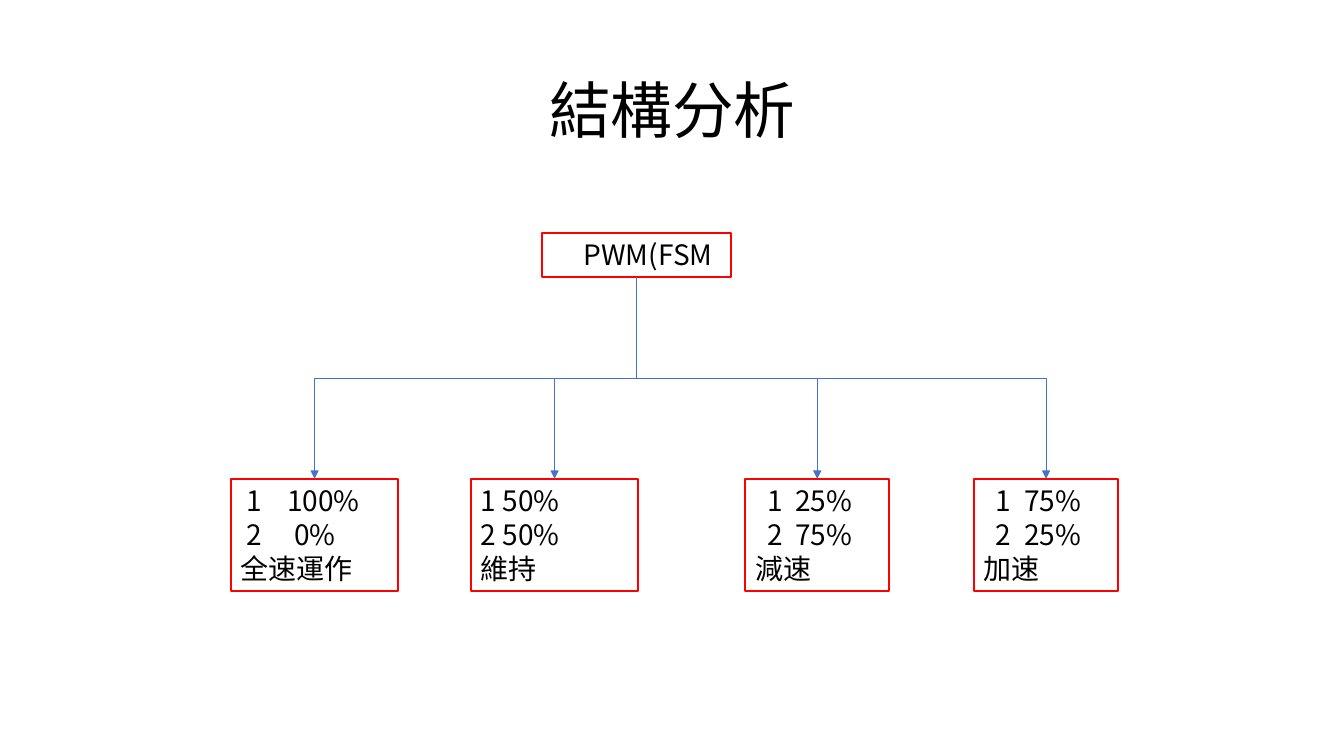
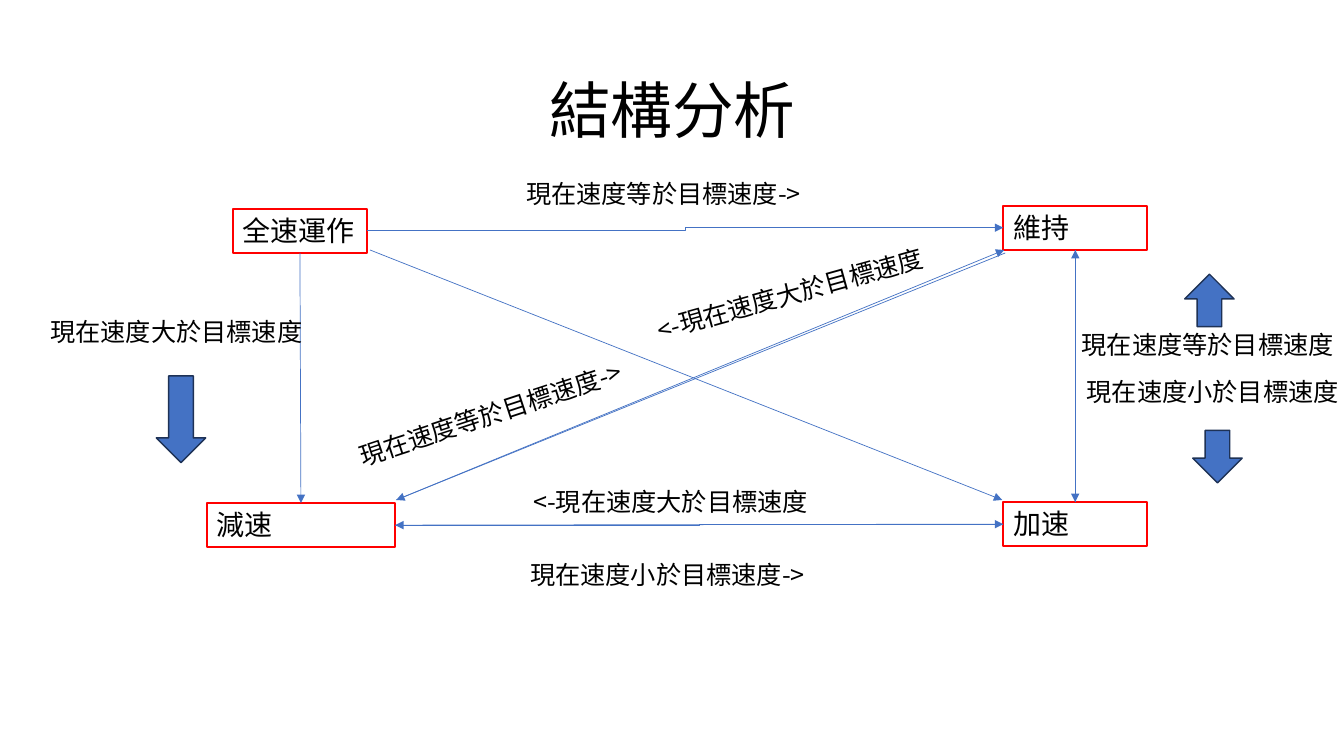
from dataclasses import dataclass

from lxml.etree import SubElement
from pptx import Presentation
from pptx.dml.color import RGBColor
from pptx.enum.shapes import MSO_CONNECTOR, MSO_SHAPE
from pptx.enum.text import MSO_ANCHOR, PP_ALIGN
from pptx.oxml.ns import qn
from pptx.util import Inches, Pt


@dataclass(frozen=True)
class Theme:
    font: str = "Noto Sans CJK SC"
    text: RGBColor = RGBColor(0x00, 0x00, 0x00)
    box_line: RGBColor = RGBColor(0xFF, 0x00, 0x00)
    accent: RGBColor = RGBColor(0x44, 0x72, 0xC4)
    accent_dark: RGBColor = RGBColor(0x1E, 0x32, 0x56)
    title_size: int = 44
    box_size: int = 20
    label_size: int = 18


THEME = Theme()
TITLE = "結構分析"
TOP, LEFT, BOTTOM, RIGHT = range(4)
LABEL_WIDTH, LABEL_HEIGHT = 3.1, 0.4
ARROW_WIDTH = 0.49

# Each line of a box is (text, tab stops in inches).
ROOT = ((5.38, 2.31, 1.87, 0.44), [("\tPWM(FSM", [0.31])])
MODE_TOP, MODE_HEIGHT = 4.75, 1.11
MODES = [  # left, width, lines
    (2.29, 1.66, [("\t1\t100%", [0.06, 0.46]), ("\t2\t0%", [0.06, 0.53]), ("全速運作", [])]),
    (4.67, 1.66, [("1 50%", []), ("2 50%", []), ("維持", [])]),
    (7.39, 1.43, [("\t1\t25%", [0.12, 0.4]), ("\t2\t75%", [0.12, 0.4]), ("減速", [])]),
    (9.66, 1.43, [("\t1\t75%", [0.12, 0.4]), ("\t2\t25%", [0.12, 0.4]), ("加速", [])]),
]

STATES = {
    "減速": (2.05, 4.99, 1.87, 0.44),
    "全速運作": (2.31, 2.07, 1.33, 0.44),
    "維持": (9.95, 2.04, 1.43, 0.44),
    "加速": (9.95, 4.98, 1.43, 0.44),
}
TRANSITIONS = [  # from, side, to, side, bent
    ("全速運作", BOTTOM, "減速", TOP, False),
    ("加速", LEFT, "減速", RIGHT, True),
    ("維持", BOTTOM, "加速", TOP, True),
    ("全速運作", RIGHT, "維持", LEFT, True),
    ("減速", RIGHT, "加速", LEFT, False),
    ("加速", TOP, "維持", BOTTOM, False),
]
DIAGONALS = [
    ((3.67, 2.48), (9.94, 4.96)),
    ((3.93, 4.96), (9.96, 2.48)),
    ((9.97, 2.51), (3.93, 4.96)),
]
LABELS = [  # text, left, top, rotation
    ("現在速度等於目標速度->", 5.12, 1.72, 0),
    ("現在速度小於目標速度->", 5.16, 5.5, 0),
    ("<-現在速度大於目標速度", 5.19, 4.78, 0),
    ("現在速度大於目標速度", 0.4, 3.09, 0),
    ("現在速度小於目標速度", 10.68, 3.68, 0),
    ("現在速度等於目標速度->", 3.4, 3.88, 341.8),
    ("現在速度等於目標速度", 10.63, 3.22, 0),
    ("<-現在速度大於目標速度", 6.37, 2.69, 344.5),
]
BLOCK_ARROWS = [  # left, top, height, rotation
    (1.55, 3.73, 0.86, 0),
    (11.83, 4.27, 0.52, 0),
    (11.75, 2.72, 0.52, 180),
]


def inches(*lengths):
    return [Inches(length) for length in lengths]


def write_paragraph(paragraph, text, size, tab_stops=(), **paragraph_format):
    for name, value in {"alignment": PP_ALIGN.LEFT, **paragraph_format}.items():
        setattr(paragraph, name, value)
    if tab_stops:
        tab_list = SubElement(paragraph._p.get_or_add_pPr(), qn("a:tabLst"))
        for stop in tab_stops:
            SubElement(tab_list, qn("a:tab"), pos=str(Inches(stop)), algn="l")
    run = paragraph.add_run()
    run.text = text
    for name, value in {"name": THEME.font, "size": Pt(size)}.items():
        setattr(run.font, name, value)
    run.font.color.rgb = THEME.text
    SubElement(run._r.get_or_add_rPr(), qn("a:ea"), typeface=THEME.font)


def add_text(slide, text, bounds, size, rotation=0, **paragraph_format):
    shape = slide.shapes.add_textbox(*inches(*bounds))
    shape.rotation = rotation
    shape.text_frame.word_wrap = True
    write_paragraph(shape.text_frame.paragraphs[0], text, size, **paragraph_format)
    return shape


def add_box(slide, bounds, lines):
    box = slide.shapes.add_shape(MSO_SHAPE.RECTANGLE, *inches(*bounds))
    box.shadow.inherit = False
    box.fill.background()
    box.line.color.rgb = THEME.box_line
    box.line.width = Pt(1.5)
    frame = box.text_frame
    frame.word_wrap = True
    frame.vertical_anchor = MSO_ANCHOR.TOP
    for index, (text, tab_stops) in enumerate(lines):
        paragraph = frame.add_paragraph() if index else frame.paragraphs[0]
        write_paragraph(paragraph, text, THEME.box_size, tab_stops)
    return box


def add_block_arrow(slide, left, top, height, rotation):
    arrow = slide.shapes.add_shape(
        MSO_SHAPE.DOWN_ARROW, *inches(left, top, ARROW_WIDTH, height))
    arrow.rotation = rotation
    arrow.shadow.inherit = False
    arrow.fill.solid()
    arrow.fill.fore_color.rgb = THEME.accent
    arrow.line.color.rgb = THEME.accent_dark
    arrow.line.width = Pt(1)


def add_arrow(slide, start, end, kind=MSO_CONNECTOR.STRAIGHT):
    connector = slide.shapes.add_connector(kind, *start, *end)
    connector.line.color.rgb = THEME.accent
    connector.line.width = Pt(0.5)
    SubElement(connector.line._get_or_add_ln(), qn("a:tailEnd"), type="triangle")
    SubElement(connector._element.spPr, qn("a:effectLst"))
    return connector


def side_middle(shape, side):
    x_share, y_share = [(0.5, 0), (0, 0.5), (0.5, 1), (1, 0.5)][side]
    return (int(shape.left + shape.width * x_share),
            int(shape.top + shape.height * y_share))


def turn_downward(connector, start, end):
    """Rotate an elbow so that it leaves its start vertically, going down."""
    (start_x, start_y), (end_x, end_y) = start, end
    length, spread = end_y - start_y, abs(end_x - start_x)
    connector.left = (start_x + end_x - length) // 2
    connector.top = (start_y + end_y - spread) // 2
    connector.width, connector.height = length, spread
    frame = connector._element.spPr.find(qn("a:xfrm"))
    goes_left = end_x < start_x
    frame.set("rot", str((90 if goes_left else 270) * 60000))
    frame.set("flipH", "0" if goes_left else "1")
    frame.set("flipV", "0")


def link(slide, source, source_side, target, target_side, bent):
    start, end = side_middle(source, source_side), side_middle(target, target_side)
    kind = MSO_CONNECTOR.ELBOW if bent else MSO_CONNECTOR.STRAIGHT
    connector = add_arrow(slide, start, end, kind)
    connector.begin_connect(source, source_side)
    connector.end_connect(target, target_side)
    if bent and source_side == BOTTOM:
        turn_downward(connector, start, end)


def add_titled_slide(presentation):
    slide = presentation.slides.add_slide(presentation.slide_layouts[6])
    title = add_text(slide, TITLE, (0.92, 0.4, 11.5, 1.45), THEME.title_size,
                     alignment=PP_ALIGN.CENTER, line_spacing=0.9)
    title.text_frame.vertical_anchor = MSO_ANCHOR.MIDDLE
    return slide


def build_mode_tree(presentation):
    slide = add_titled_slide(presentation)
    root = add_box(slide, *ROOT)
    for left, width, lines in MODES:
        mode = add_box(slide, (left, MODE_TOP, width, MODE_HEIGHT), lines)
        link(slide, root, BOTTOM, mode, TOP, True)


def build_state_diagram(presentation):
    slide = add_titled_slide(presentation)
    states = {name: add_box(slide, bounds, [(name, [])])
              for name, bounds in STATES.items()}
    for source, source_side, target, target_side, bent in TRANSITIONS:
        link(slide, states[source], source_side, states[target], target_side, bent)
    for start, end in DIAGONALS:
        add_arrow(slide, inches(*start), inches(*end))
    for text, left, top, rotation in LABELS:
        add_text(slide, text, (left, top, LABEL_WIDTH, LABEL_HEIGHT),
                 THEME.label_size, rotation)
    for block_arrow in BLOCK_ARROWS:
        add_block_arrow(slide, *block_arrow)


def main():
    presentation = Presentation()
    presentation.slide_width, presentation.slide_height = inches(13.33, 7.5)
    build_mode_tree(presentation)
    build_state_diagram(presentation)
    presentation.save("out.pptx")


if __name__ == "__main__":
    main()
